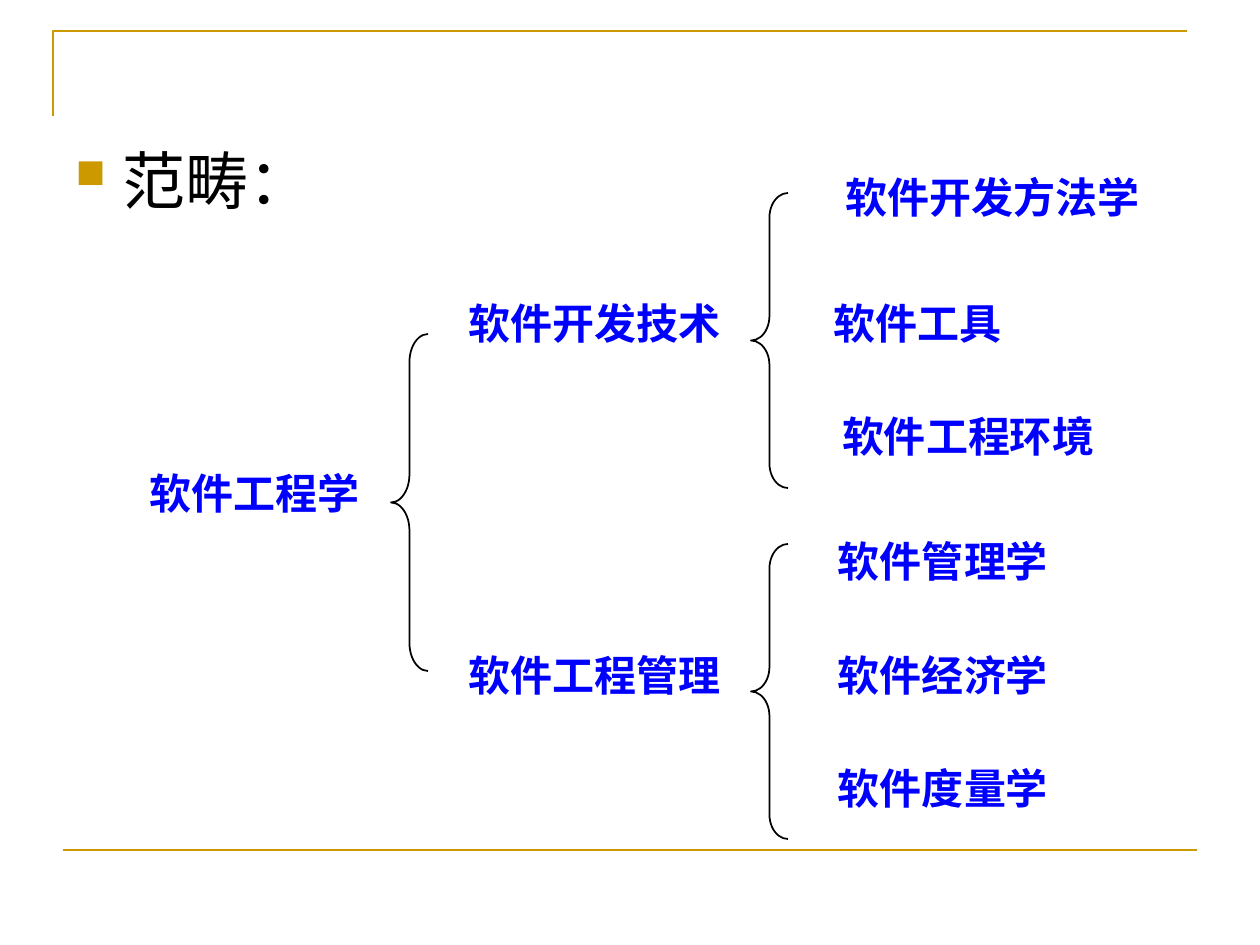
from typing import Any, NamedTuple

from lxml.etree import SubElement
from pptx import Presentation
from pptx.dml.color import RGBColor
from pptx.enum.shapes import MSO_CONNECTOR as Connector, MSO_SHAPE as Shape
from pptx.enum.text import MSO_ANCHOR as Anchor, PP_ALIGN as Align
from pptx.oxml.ns import qn
from pptx.util import Emu, Pt

SCALE = 914400 / 126
GOLD = RGBColor(0xCC, 0x99, 0x00)
BLUE = RGBColor(0x00, 0x00, 0xFF)
BLACK = RGBColor(0x00, 0x00, 0x00)
TOPIC_FONT = {"name": "Times New Roman", "size": Pt(24), "bold": True}
HEADING_FONT = {"name": "Arial", "size": Pt(36), "bold": False}
TOPIC_HEIGHT = 63
BRACE_WIDTH = 37


class Topic(NamedTuple):
    text: str
    left: int
    top: int
    width: int


class Brace(NamedTuple):
    left: int
    top: int
    height: int


TOPICS = [
    Topic("软件工程学", 105, 461, 299),
    Topic("软件开发技术", 427, 291, 335),
    Topic("软件工程管理", 427, 643, 335),
    Topic("软件开发方法学", 800, 165, 386),
    Topic("软件工具", 800, 291, 236),
    Topic("软件工程环境", 800, 404, 336),
    Topic("软件管理学", 800, 529, 286),
    Topic("软件经济学", 800, 643, 286),
    Topic("软件度量学", 800, 756, 286),
]
BRACES = [Brace(391, 334, 337), Brace(751, 193, 295), Brace(751, 544, 295)]


def px(length: int) -> Emu:
    """Turn a length in px into EMU."""
    return Emu(round(length * SCALE))


def set_format(target: Any, values: dict[str, Any]) -> None:
    """Set every attribute named in values on target."""
    for attribute, value in values.items():
        setattr(target, attribute, value)


def style_line(line: Any, colour: RGBColor, width: float) -> None:
    """Give a line its colour and width in points."""
    line.color.rgb = colour
    line.width = Pt(width)


def draw_frame(slide: Any) -> None:
    """Draw the gold corner at the top and the gold rule at the bottom."""
    builder = slide.shapes.build_freeform(53, 116, scale=SCALE)
    builder.add_line_segments([(53, 31), (1187, 31)], close=False)
    corner = builder.convert_to_shape()
    corner.shadow.inherit = False
    corner.fill.background()
    style_line(corner.line, GOLD, 1.5)
    rule = slide.shapes.add_connector(
        Connector.STRAIGHT, px(63), px(850), px(1197), px(850)
    )
    SubElement(rule._element.spPr, qn("a:effectLst"))
    style_line(rule.line, GOLD, 1.5)


def draw_heading(slide: Any) -> None:
    """Draw the heading with its square gold bullet."""
    heading = slide.shapes.add_textbox(px(63), px(135), px(1134), px(709))
    heading.text_frame.word_wrap = True
    paragraph = heading.text_frame.paragraphs[0]
    properties = paragraph._p.get_or_add_pPr()
    properties.set("marL", str(px(47)))
    properties.set("indent", str(-px(47)))
    bullet_colour = SubElement(properties, qn("a:buClr"))
    SubElement(bullet_colour, qn("a:srgbClr"), val=str(GOLD))
    SubElement(properties, qn("a:buSzPct"), val="65000")
    SubElement(properties, qn("a:buChar"), char="■")
    run = paragraph.add_run()
    run.text = "范畴："
    set_format(run.font, HEADING_FONT)
    run.font.color.rgb = BLACK


def draw_topic(slide: Any, topic: Topic) -> None:
    """Draw one centred topic of the tree."""
    box = slide.shapes.add_textbox(
        px(topic.left), px(topic.top), px(topic.width), px(TOPIC_HEIGHT)
    )
    set_format(box.text_frame, {"word_wrap": True, "vertical_anchor": Anchor.TOP})
    paragraph = box.text_frame.paragraphs[0]
    paragraph.alignment = Align.CENTER
    run = paragraph.add_run()
    run.text = topic.text
    set_format(run.font, TOPIC_FONT)
    run.font.color.rgb = BLUE


def draw_brace(slide: Any, brace: Brace) -> None:
    """Draw one left brace whose curves each take a twelfth of its height."""
    shape = slide.shapes.add_shape(
        Shape.LEFT_BRACE,
        px(brace.left), px(brace.top), px(BRACE_WIDTH), px(brace.height),
    )
    shape.adjustments[0] = brace.height / 12 / BRACE_WIDTH
    shape.shadow.inherit = False
    shape.fill.background()
    style_line(shape.line, BLACK, 1)


def main() -> None:
    """Build the slide and save it."""
    presentation = Presentation()
    set_format(presentation, {"slide_width": px(1260), "slide_height": px(945)})
    slide = presentation.slides.add_slide(presentation.slide_layouts[6])
    draw_frame(slide)
    draw_heading(slide)
    for brace in BRACES:
        draw_brace(slide, brace)
    for topic in TOPICS:
        draw_topic(slide, topic)
    presentation.save("out.pptx")


if __name__ == "__main__":
    main()
